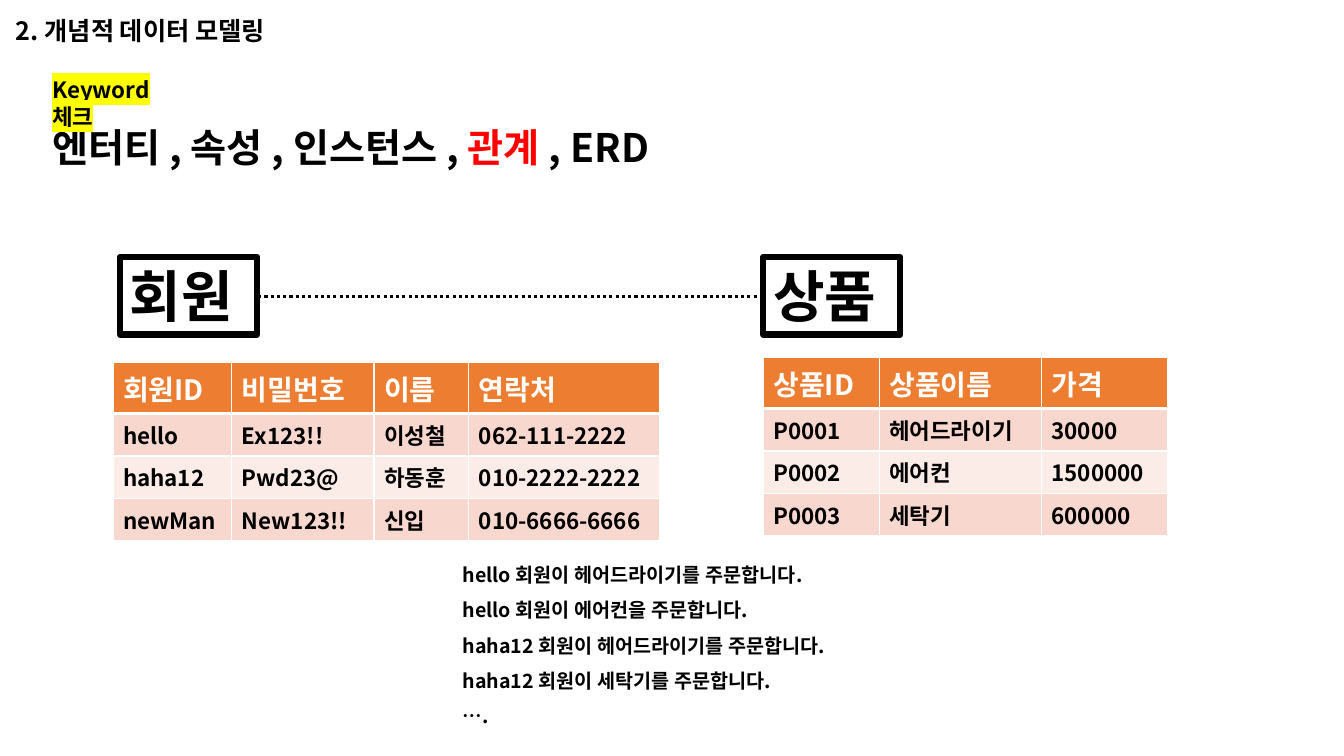
from lxml.etree import SubElement
from pptx import Presentation
from pptx.dml.color import RGBColor
from pptx.enum.dml import MSO_LINE
from pptx.enum.shapes import MSO_CONNECTOR
from pptx.enum.text import MSO_AUTO_SIZE
from pptx.oxml import parse_xml
from pptx.oxml.ns import nsdecls, qn
from pptx.util import Emu, Pt

PX = 9144
FONT = "Noto Sans CJK KR"
BLACK, WHITE, RED, YELLOW = "000000", "FFFFFF", "FF0000", "FFFF00"
ORANGE, BANDS = "ED7D31", ("F8D7CE", "FCECE8")


def rgb(color):
    return RGBColor.from_string(color)


def set_font(paragraph, size, color=BLACK):
    font = paragraph.font
    font.name = FONT
    font.size = Pt(size)
    font.bold = True
    font.color.rgb = rgb(color)
    SubElement(font._element, qn("a:ea")).set("typeface", FONT)


presentation = Presentation()
presentation.slide_width = Emu(1333 * PX)
presentation.slide_height = Emu(750 * PX)
slide = presentation.slides.add_slide(presentation.slide_layouts[6])

orders = [
    "hello 회원이 헤어드라이기를 주문합니다.",
    "hello 회원이 에어컨을 주문합니다.",
    "haha12 회원이 헤어드라이기를 주문합니다.",
    "haha12 회원이 세탁기를 주문합니다.",
    "….",
]
keywords = [("엔터티 , 속성 , 인스턴스 , ", None, None), ("관계", RED, None), (" , ERD", None, None)]

relation = slide.shapes.add_connector(
    MSO_CONNECTOR.STRAIGHT, 256 * PX, 294 * PX, 757 * PX, 294 * PX
)
relation.line.color.rgb = rgb(BLACK)
relation.line.width = Pt(2.25)
relation.line.dash_style = MSO_LINE.ROUND_DOT
SubElement(relation._element.spPr, qn("a:effectLst"))

tables = [
    (112, 360, [118, 141, 94, 189], [
        ["회원ID", "비밀번호", "이름", "연락처"],
        ["hello", "Ex123!!", "이성철", "062-111-2222"],
        ["haha12", "Pwd23@", "하동훈", "010-2222-2222"],
        ["newMan", "New123!!", "신입", "010-6666-6666"],
    ]),
    (757, 355, [115, 161, 125], [
        ["상품ID", "상품이름", "가격"],
        ["P0001", "헤어드라이기", "30000"],
        ["P0002", "에어컨", "1500000"],
        ["P0003", "세탁기", "600000"],
    ]),
]
for left, top, widths, rows in tables:
    table = slide.shapes.add_table(
        len(rows), len(widths), left * PX, top * PX, sum(widths) * PX, 153 * PX
    ).table
    for column, width in zip(table.columns, widths):
        column.width = Emu(width * PX)
    for row_index, values in enumerate(rows):
        header = row_index == 0
        table.rows[row_index].height = Emu((43 if header else 37) * PX)
        for column_index, value in enumerate(values):
            cell = table.cell(row_index, column_index)
            cell.text = value
            set_font(cell.text_frame.paragraphs[0], 20 if header else 16, WHITE if header else BLACK)
            properties = cell._tc.get_or_add_tcPr()
            for side in "LRTB":
                thick = (side, row_index) in (("B", 0), ("T", 1))
                properties.append(parse_xml(
                    f'<a:ln{side} {nsdecls("a")} w="{Pt(3 if thick else 1)}"><a:solidFill>'
                    f'<a:srgbClr val="{WHITE}"/></a:solidFill></a:ln{side}>'
                ))
            cell.fill.solid()
            cell.fill.fore_color.rgb = rgb(ORANGE if header else BANDS[(row_index - 1) % 2])

text_boxes = [
    (449, 542, 520, 182, 14, 1.5, False, [[(order, None, None)] for order in orders]),
    (6, 10, 667, 40, 18, None, False, [[("2. 개념적 데이터 모델링", None, None)]]),
    (119, 255, 136, 77, 40, None, True, [[("회원", None, None)]]),
    (757, 255, 136, 77, 40, None, True, [[("상품", None, None)]]),
    (42, 117, 731, 57, 28, None, False, [keywords]),
    (42, 71, 156, 37, 16, None, False, [[("Keyword 체크", None, YELLOW)]]),
]
for left, top, width, height, size, spacing, outlined, paragraphs in text_boxes:
    shape = slide.shapes.add_textbox(left * PX, top * PX, width * PX, height * PX)
    frame = shape.text_frame
    frame.word_wrap = True
    frame.auto_size = MSO_AUTO_SIZE.SHAPE_TO_FIT_TEXT
    if outlined:
        shape.line.color.rgb = rgb(BLACK)
        shape.line.width = Pt(4.5)
    for index, runs in enumerate(paragraphs):
        paragraph = frame.add_paragraph() if index else frame.paragraphs[0]
        if spacing:
            paragraph.line_spacing = spacing
        set_font(paragraph, size)
        for text, color, highlight in runs:
            run = paragraph.add_run()
            run.text = text
            if color:
                run.font.color.rgb = rgb(color)
            if highlight:
                mark = SubElement(run.font._element, qn("a:highlight"))
                SubElement(mark, qn("a:srgbClr")).set("val", highlight)

presentation.save("out.pptx")
